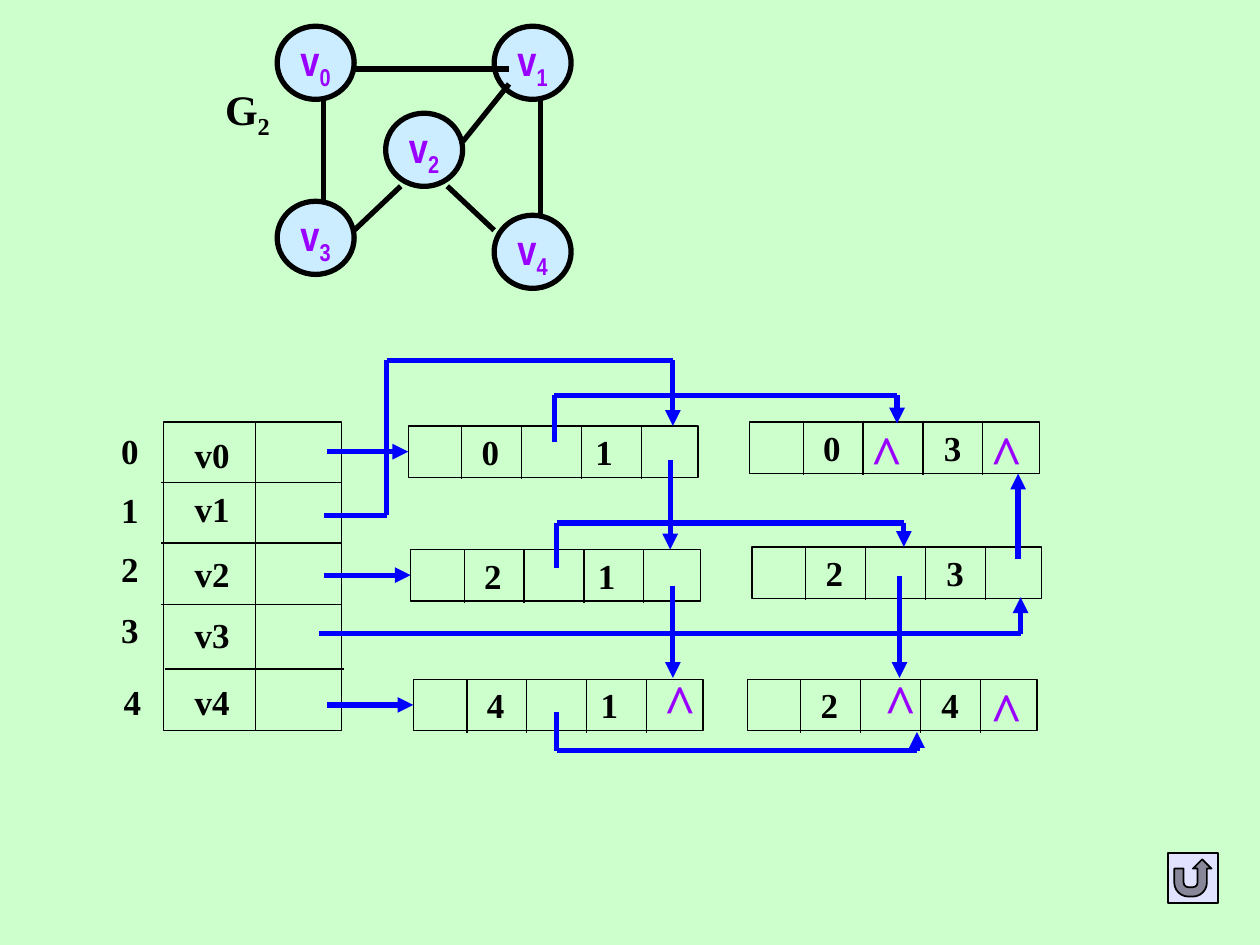
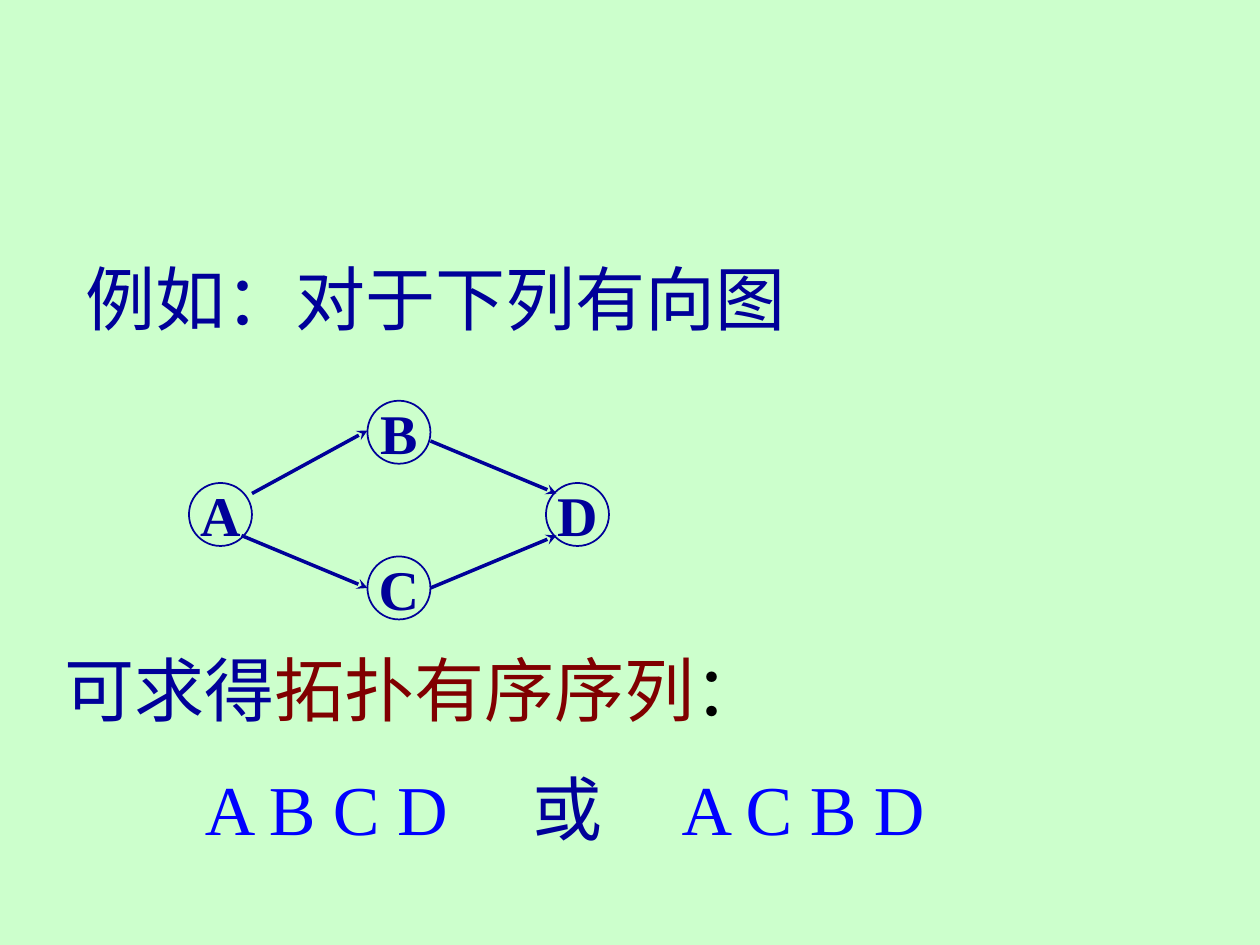
import dataclasses
import itertools

import lxml.etree
import pptx
import pptx.dml.color
import pptx.enum.shapes
import pptx.enum.text
import pptx.oxml.ns
import pptx.util

Pt = pptx.util.Pt
Shape = pptx.enum.shapes.MSO_SHAPE
Align = pptx.enum.text.PP_ALIGN
Anchor = pptx.enum.text.MSO_ANCHOR
qn = pptx.oxml.ns.qn


@dataclasses.dataclass(frozen=True)
class Theme:
    background: str = "CCFFCC"
    ink: str = "000000"
    node: str = "CCECFF"
    mark: str = "9900FF"
    link: str = "0000FF"
    navy: str = "000099"
    maroon: str = "800000"
    button: str = "E1E2FF"
    serif: str = "Times New Roman"
    narrow: str = "Arial Narrow"
    cell: int = 20
    label: int = 24
    symbol: int = 32
    body: int = 40
    hairline: float = 0.75
    thin: int = 1
    medium: int = 2
    thick: int = 3


@dataclasses.dataclass(frozen=True)
class Box:
    left: float
    top: float
    width: float
    height: float

    def inside(self, left, top, width, height):
        return Box(self.left + left, self.top + top, width, height)

    def point(self, x, y):
        return self.left + x, self.top + y

    def lengths(self):
        return [Pt(value) for value in (self.left, self.top, self.width, self.height)]


THEME = Theme()


def rgb(color):
    return pptx.dml.color.RGBColor.from_string(color)


def add_span(para, text, size=THEME.cell, color=THEME.ink, font=THEME.serif,
             bold=True, baseline=0):
    span = para.add_run()
    span.text = text
    span.font.size = Pt(size)
    span.font.name = font
    span.font.bold = bold
    span.font.color.rgb = rgb(color)
    if baseline:
        span.font._element.set("baseline", str(baseline * 1000))


def set_tabs(para, stops):
    tabs = lxml.etree.SubElement(para._p.get_or_add_pPr(), qn("a:tabLst"))
    for stop in stops:
        lxml.etree.SubElement(tabs, qn("a:tab"), pos=str(Pt(stop)), algn="l")


def write(shape, text, subscript="", align=Align.CENTER, anchor=Anchor.MIDDLE,
          wrap=False, tabs=(), **style):
    frame = shape.text_frame
    frame.word_wrap = wrap
    frame.vertical_anchor = anchor
    para = frame.paragraphs[0]
    para.alignment = align
    if tabs:
        set_tabs(para, tabs)
    add_span(para, text, **style)
    if subscript:
        add_span(para, subscript, baseline=-25, **style)


def add_text(page, box, text, **style):
    write(page.shapes.add_textbox(*box.lengths()), text, **style)


def add_figure(page, kind, box, line=THEME.ink, weight=THEME.hairline, fill=None):
    figure = page.shapes.add_shape(kind, *box.lengths())
    figure.shadow.inherit = False
    figure.line.color.rgb = rgb(line)
    figure.line.width = Pt(weight)
    if fill:
        figure.fill.solid()
        figure.fill.fore_color.rgb = rgb(fill)
    else:
        figure.fill.background()
    return figure


def add_line(page, start, end, color=THEME.ink, weight=THEME.hairline, head=None):
    ends = [Pt(value) for value in (*start, *end)]
    line = page.shapes.add_connector(pptx.enum.shapes.MSO_CONNECTOR.STRAIGHT, *ends)
    line.line.color.rgb = rgb(color)
    line.line.width = Pt(weight)
    if head:
        lxml.etree.SubElement(line.line._get_or_add_ln(), qn("a:tailEnd"), type=head)
    lxml.etree.SubElement(line._element.spPr, qn("a:effectLst"))
    return line


def add_route(page, points):
    legs = list(itertools.pairwise(points))
    for start, end in legs:
        head = "triangle" if (start, end) == legs[-1] else None
        add_line(page, start, end, THEME.link, THEME.thick, head)


def add_page(deck):
    page = deck.slides.add_slide(deck.slide_layouts[6])
    page.background.fill.solid()
    page.background.fill.fore_color.rgb = rgb(THEME.background)
    return page


def draw_undirected_graph(page, box):
    nodes = [(124, 0, "1"), (0, 0, "0"), (0, 100, "3"), (124, 108, "4"), (62, 49.7, "2")]
    for left, top, number in nodes:
        circle = add_figure(page, Shape.OVAL, box.inside(left, top, 44, 41.8),
                            weight=THEME.thick, fill=THEME.node)
        write(circle, "v", subscript=number, size=THEME.label, color=THEME.mark,
              font=THEME.narrow)
    edges = [((44, 24.5), (132.5, 24.5)), ((26.6, 41.8), (26.6, 100)),
             ((150.5, 41.8), (150.5, 108)), ((132.5, 33), (106, 66)),
             ((70.6, 91.4), (44, 116.6)), ((97.2, 91.4), (124, 116.6))]
    for start, end in edges:
        add_line(page, box.point(*start), box.point(*end), weight=THEME.thick)
    add_text(page, box.inside(-88, 28, 142, 42), "G", subscript="2", size=THEME.label)


def draw_vertex_table(page, box):
    add_figure(page, Shape.RECTANGLE, box)
    for left, y in [(-1.4, 34.6), (-1.4, 69.1), (-1.4, 104.4), (0.7, 141.1)]:
        add_line(page, box.point(left, y), box.point(left + 102.5, y))
    add_line(page, box.point(52.6, 0), box.point(52.6, box.height))
    tops = [(0.7, 2.9), (34.6, 33.8), (68.4, 71.3), (103, 105.8), (144, 144)]
    for index, (index_top, name_top) in enumerate(tops):
        shift = 1.4 if index == 4 else 0
        add_text(page, box.inside(shift - 31.6, index_top, 24.5, 31), str(index))
        add_text(page, box.inside(10.3, name_top, 34.6, 31), f"v{index}")


def draw_edge_record(page, box, first, second, second_stop):
    record = add_figure(page, Shape.RECTANGLE, box)
    record.text_frame.margin_left = record.text_frame.margin_right = 0
    write(record, f"\t{first}\t{second}", align=Align.LEFT, wrap=True,
          tabs=(42, second_stop))
    for column in range(4):
        x = 30.6 + 34.2 * column
        add_line(page, box.point(x, 0), box.point(x, 30.5))
    return record


def draw_adjacency_multilist(page, box):
    draw_vertex_table(page, box.inside(31.6, 35.2, 101.5, 176.4))
    near_stop, far_stop = 107, 111
    entries = [(171.3, 37.4, 0, 1, 125), (172.7, 107.9, 2, 1, 123),
               (174.2, 182.1, 4, 1, 125)]
    for left, top, first, second, arrow_left in entries:
        place = box.inside(left, top, 165.6, 29.5)
        record = draw_edge_record(page, place, first, second, near_stop)
        middle = top + place.height / 2
        arrow = add_line(page, box.point(arrow_left, middle), box.point(left, middle),
                         THEME.link, THEME.thick, "triangle")
        arrow.end_connect(record, 1)
    for left, top, first, second in [(366.4, 35.2, 0, 3), (367.8, 106.5, 2, 3),
                                     (365, 182.1, 2, 4)]:
        draw_edge_record(page, box.inside(left, top, 165.6, 29.5), first, second, far_stop)
    routes = [
        [(254.8, 46.7), (254.8, 20), (450.6, 20), (450.6, 36)],
        [(123, 88.5), (159, 88.5), (159, 0), (322.5, 0), (322.5, 37.4)],
        [(321, 56.8), (321, 108)],
        [(322.5, 128.8), (322.5, 181.4)],
        [(256.2, 118.7), (256.2, 92.8), (454.5, 92.8), (454.5, 106.5)],
        [(452, 123), (452, 181.4)],
        [(120.2, 156.2), (521.2, 156.2), (521.2, 135.3)],
        [(519.8, 113.7), (519.8, 64.7)],
        [(256.2, 200.8), (256.2, 223), (462, 223), (462, 212.3)],
    ]
    for route in routes:
        add_route(page, [box.point(*point) for point in route])
    for left, top in [(428.3, 30.2), (436.2, 172.7), (496.7, 30.2), (496.7, 177),
                      (310.2, 172.7)]:
        add_text(page, box.inside(left, top, 33, 45.4), "^", align=Align.LEFT,
                 anchor=Anchor.TOP, size=THEME.symbol, color=THEME.mark)


def draw_directed_graph(page, box):
    for letter, left, top in [("B", 102, 0), ("D", 204, 47), ("A", 0, 47), ("C", 102, 89)]:
        circle = add_figure(page, Shape.OVAL, box.inside(left, top, 36, 36),
                            THEME.navy, THEME.thin)
        write(circle, letter, size=THEME.symbol, color=THEME.navy)
    for start, end in [((36, 53), (102, 17)), ((30, 77), (102, 107)),
                       ((138, 23), (210, 53)), ((138, 107), (210, 77))]:
        add_line(page, box.point(*start), box.point(*end), THEME.navy, THEME.medium,
                 "stealth")


def draw_orderings(page, box):
    frame = page.shapes.add_textbox(*box.lengths()).text_frame
    frame.word_wrap = True
    lines = [
        [("可求得", THEME.navy), ("拓扑有序序列", THEME.maroon), ("：", THEME.ink)],
        [("\tA B C D", THEME.link), ("\t或", THEME.navy), ("\tA C B D", THEME.link)],
    ]
    heading, answer = frame.paragraphs[0], frame.add_paragraph()
    answer.space_before = Pt(20)
    set_tabs(answer, (80, 267.5, 352.5))
    for para, spans in zip((heading, answer), lines):
        for text, color in spans:
            add_span(para, text, size=THEME.body, color=color, bold=False)


def build_multilist_page(deck):
    page = add_page(deck)
    draw_adjacency_multilist(page, Box(62, 206, 540, 223))
    add_figure(page, Shape.ACTION_BUTTON_RETURN, Box(667.5, 487.5, 28.4, 28.4),
               weight=THEME.thin, fill=THEME.button)
    draw_undirected_graph(page, Box(158.4, 15, 168, 150))


def build_topological_page(deck):
    page = add_page(deck)
    add_text(page, Box(42, 142.5, 415, 55.4), "例如：对于下列有向图", align=Align.LEFT,
             anchor=Anchor.TOP, size=THEME.body, color=THEME.navy, bold=False)
    draw_directed_graph(page, Box(108, 229, 240, 125))
    draw_orderings(page, Box(30, 366, 648, 127.4))


def main():
    deck = pptx.Presentation()
    deck.slide_width, deck.slide_height = Pt(720), Pt(540)
    build_multilist_page(deck)
    build_topological_page(deck)
    deck.save("out.pptx")


if __name__ == "__main__":
    main()
